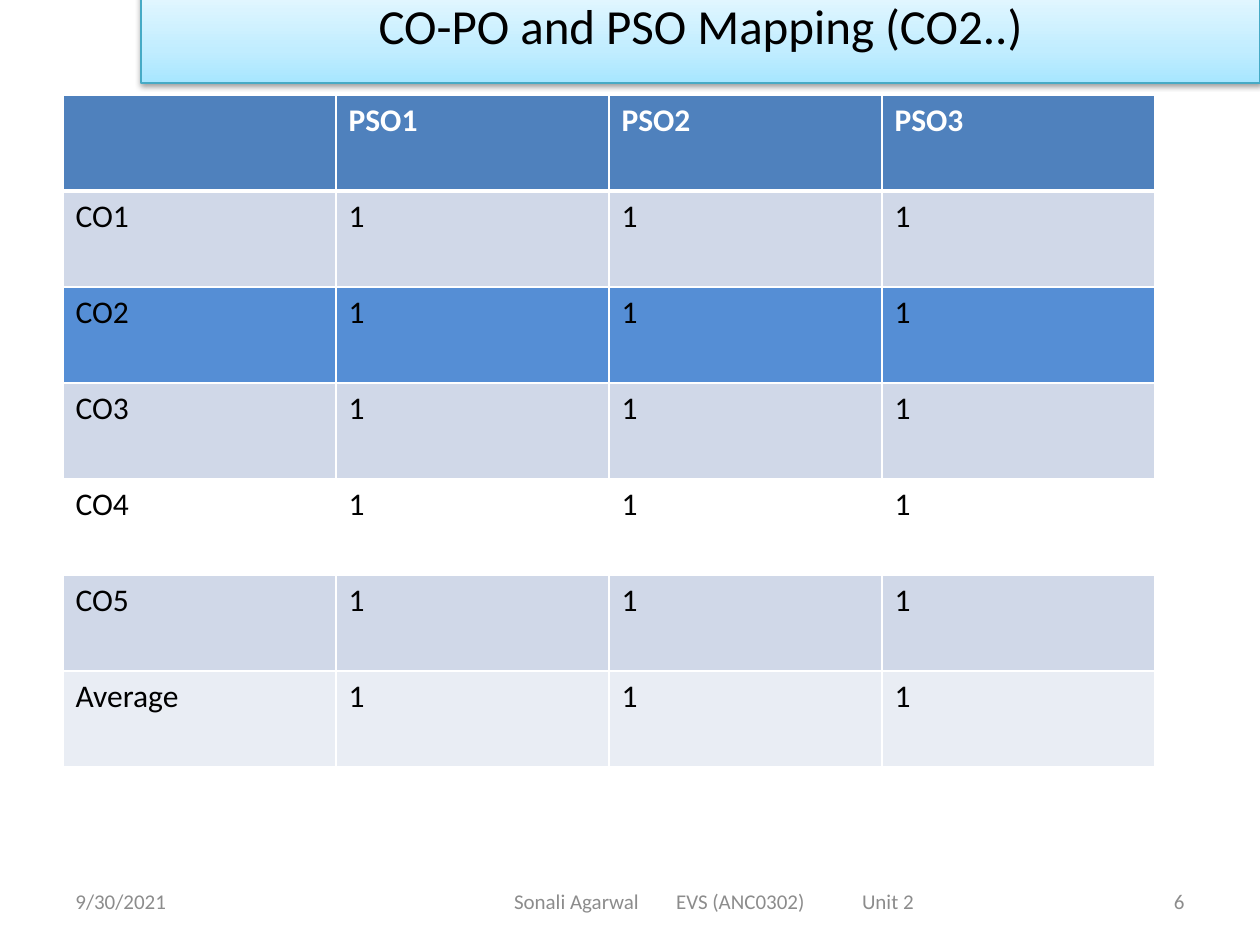
from lxml import etree
from pptx import Presentation, util as u
from pptx.dml.color import RGBColor
from pptx.enum import text
from pptx.oxml import parse_xml
from pptx.oxml.ns import nsdecls, qn

TITLE = "CO-PO and PSO Mapping (CO2..)"
HEADER = ["", "PSO1", "PSO2", "PSO3"]
ROWS = [  # label, fill
    ("CO1", "D0D8E8"),
    ("CO2", "558ED5"),
    ("CO3", "D0D8E8"),
    ("CO4", None),
    ("CO5", "D0D8E8"),
    ("Average", "E9EDF4"),
]
SCORE = "1"
HEADER_FILL = "4F81BD"
BANNER_STOPS = [(0, "A7E6FF"), (35, "C1EDFF"), (100, "E7F8FF")]
FOOTER_PARTS = ["Sonali Agarwal", "EVS (ANC0302)", "Unit 2"]
FOOTER_TABS = [162, 348]
FOOTER_INDENT = 199
LEFT, RIGHT = text.PP_ALIGN.LEFT, text.PP_ALIGN.RIGHT
FOOTERS = [  # text, left, width, alignment
    ("9/30/2021", 63, 294, LEFT),
    ("\t".join(FOOTER_PARTS), 315, 798, LEFT),
    ("6", 903, 294, RIGHT),
]
FOOTER_TOP, FOOTER_HEIGHT = 876, 50
TABLE_LEFT, TABLE_TOP, COLUMN, ROW = 63, 95, 273, 96


def px(length):
    return u.Emu(length * 914400 // 126)


def color(code):
    return RGBColor.from_string(code)


def style(paragraph, size, code, bold=False):
    for span in paragraph.runs:
        span.font.name, span.font.size = "Calibri", u.Pt(size)
        span.font.color.rgb, span.font.bold = color(code), bold


def add_banner(page):
    banner = page.shapes.title
    banner.left, banner.top, banner.width, banner.height = map(px, (141, -11, 1119, 94))
    stops = "".join(f'<a:gs pos="{at * 1000}"><a:srgbClr val="{code}"/></a:gs>'
                    for at, code in BANNER_STOPS)
    properties = banner.element.spPr
    properties.append(parse_xml(
        f'<a:gradFill {nsdecls("a")} rotWithShape="1"><a:gsLst>{stops}</a:gsLst>'
        '<a:lin ang="16200000" scaled="0"/></a:gradFill>'))
    banner.line.color.rgb = color("46AAC5")
    banner.line.width = u.Pt(0.75)
    properties.append(parse_xml(
        f'<a:effectLst {nsdecls("a")}><a:outerShdw blurRad="40000" dist="20000" '
        'dir="5400000" rotWithShape="0"><a:srgbClr val="000000">'
        '<a:alpha val="38000"/></a:srgbClr></a:outerShdw></a:effectLst>'))
    frame = banner.text_frame
    frame.text = TITLE
    frame.auto_size = text.MSO_AUTO_SIZE.NONE
    frame.vertical_anchor = text.MSO_ANCHOR.TOP
    frame.paragraphs[0].alignment = text.PP_ALIGN.CENTER
    style(frame.paragraphs[0], 28, "000000")


def set_borders(cell, top=1, bottom=1):
    for side, points in (("L", 1), ("R", 1), ("T", top), ("B", bottom)):
        cell._tc.get_or_add_tcPr().append(parse_xml(
            f'<a:ln{side} {nsdecls("a")} w="{points * 12700}"><a:solidFill>'
            f'<a:srgbClr val="FFFFFF"/></a:solidFill></a:ln{side}>'))


def add_mapping(page):
    lines = [(HEADER, HEADER_FILL)]
    lines += [([label] + [SCORE] * (len(HEADER) - 1), fill) for label, fill in ROWS]
    table = page.shapes.add_table(
        len(lines), len(HEADER), px(TABLE_LEFT), px(TABLE_TOP),
        px(COLUMN * len(HEADER)), px(ROW * len(lines))).table
    for column in table.columns:
        column.width = px(COLUMN)
    for i, (values, fill) in enumerate(lines):
        table.rows[i].height = px(ROW)
        for cell, value in zip(table.rows[i].cells, values):
            set_borders(cell, top=3 if i == 1 else 1, bottom=3 if i == 0 else 1)
            if fill:
                cell.fill.solid()
                cell.fill.fore_color.rgb = color(fill)
            else:
                cell.fill.background()
            cell.text = value
            style(cell.text_frame.paragraphs[0], 18, "000000" if i else "FFFFFF", i == 0)


def add_footers(page):
    for words, left, width, alignment in FOOTERS:
        box = page.shapes.add_textbox(px(left), px(FOOTER_TOP), px(width), px(FOOTER_HEIGHT))
        frame = box.text_frame
        frame.word_wrap = True
        frame.vertical_anchor = text.MSO_ANCHOR.MIDDLE
        frame.text = words
        paragraph = frame.paragraphs[0]
        paragraph.alignment = alignment
        if "\t" in words:
            frame.margin_left = px(FOOTER_INDENT)
            tabs = etree.SubElement(paragraph._p.get_or_add_pPr(), qn("a:tabLst"))
            for stop in FOOTER_TABS:
                etree.SubElement(tabs, qn("a:tab"), pos=str(px(stop)), algn="l")
        style(paragraph, 12, "8C8C8C")


def main():
    deck = Presentation()
    deck.slide_width, deck.slide_height = px(1260), px(945)
    page = deck.slides.add_slide(deck.slide_layouts[5])
    add_banner(page)
    add_footers(page)
    add_mapping(page)
    deck.save("out.pptx")


if __name__ == "__main__":
    main()
